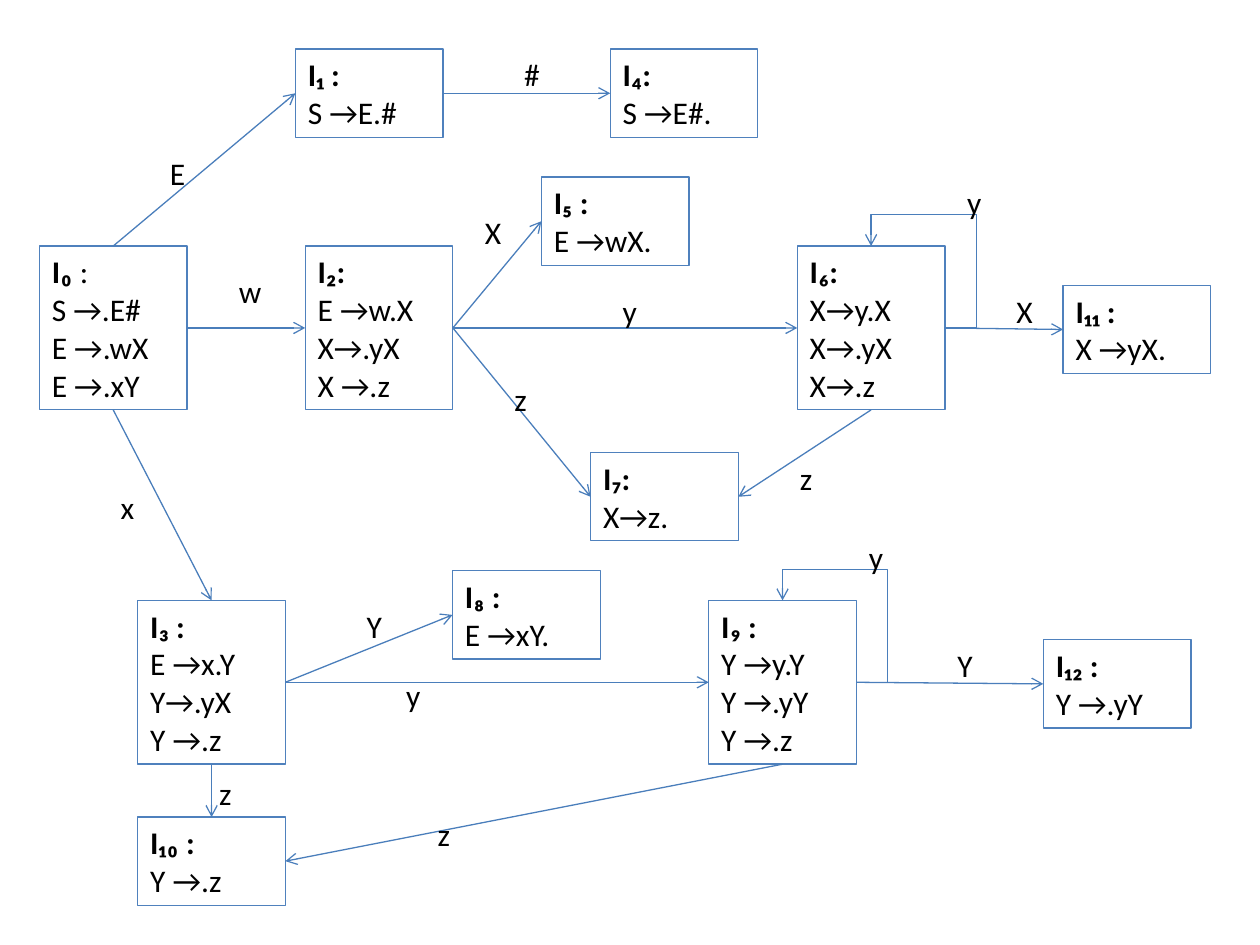
import pptx
import pptx.dml.color
import pptx.enum.shapes
import pptx.enum.text
import pptx.oxml.ns
import pptx.util
from lxml import etree

Pt = pptx.util.Pt
BLACK = pptx.dml.color.RGBColor(0x00, 0x00, 0x00)
BOX_BLUE = pptx.dml.color.RGBColor(0x4F, 0x81, 0xBD)
ARROW_BLUE = pptx.dml.color.RGBColor(0x4A, 0x7E, 0xBB)
FONT = "Calibri"
FONT_SIZE = 18
LINE_WIDTH = 0.75
STATE_WIDTH = 84.4
STATE_HEIGHTS = {2: 50.4, 4: 93.6}
LABEL_WIDTH, LABEL_HEIGHT = 22.5, 28.8
TOP, LEFT, BOTTOM, RIGHT = range(4)

STATES = {
    0: (22.5, 140.6, "I₀ ", ":", ["S →.E#", "E →.wX", "E →.xY"]),
    8: (258.6, 326.2, "I₈ :", "", ["E →xY."]),
    1: (168.8, 28.1, "I₁ :", "", ["S →E.#"]),
    3: (78.7, 343.1, "I₃ :", "", ["E →x.Y", "Y→.yX", "Y →.z"]),
    10: (78.7, 466.9, "I₁₀ :", "", ["Y →.z"]),
    9: (405, 343.1, "I₉ :", "", ["Y →y.Y", "Y →.yY", "Y →.z"]),
    11: (607.5, 163.1, "I₁₁ :", "", ["X →yX."]),
    12: (596.2, 365.6, "I₁₂ :", "", ["Y →.yY"]),
    4: (348.7, 28.1, "I₄:", "", ["S →E#."]),
    7: (337.5, 258.7, "I₇:", "", ["X→z."]),
    2: (174.4, 140.6, "I₂:", "", ["E →w.X", "X→.yX", "X →.z"]),
    6: (455.6, 140.6, "I₆:", "", ["X→y.X", "X→.yX", "X→.z"]),
    5: (309.4, 101.2, "I₅ :", "", ["E →wX."]),
}

TRANSITIONS = [
    (0, TOP, 1, LEFT, "E", 90, 84.4),
    (1, RIGHT, 4, LEFT, "#", 292.5, 28.1),
    (0, RIGHT, 2, LEFT, "w", 129.4, 151.9),
    (2, RIGHT, 5, LEFT, "X", 270, 118.1),
    (2, RIGHT, 6, LEFT, "y", 348.7, 163.1),
    (6, RIGHT, 11, LEFT, "X", 573.7, 163.1),
    (2, RIGHT, 7, LEFT, "z", 286.9, 213.7),
    (6, BOTTOM, 7, RIGHT, "z", 450, 258.7),
    (0, BOTTOM, 3, TOP, "x", 61.9, 275.6),
    (3, RIGHT, 8, LEFT, "Y", 202.5, 343.1),
    (3, BOTTOM, 10, TOP, "z", 118.1, 438.7),
    (3, RIGHT, 9, LEFT, "y", 225, 382.5),
    (9, BOTTOM, 10, RIGHT, "z", 243, 462.4),
    (9, RIGHT, 12, LEFT, "Y", 540, 365.6),
    (9, RIGHT, 9, TOP, "y", 489.4, 303.7),
    (6, RIGHT, 6, TOP, "y", 545.6, 101.2),
]


def format_paragraph(paragraph, bold=False):
    paragraph.alignment = pptx.enum.text.PP_ALIGN.LEFT
    paragraph.font.name = FONT
    paragraph.font.size = Pt(FONT_SIZE)
    paragraph.font.bold = bold
    paragraph.font.color.rgb = BLACK


def add_state(slide, left, top, heading, plain_suffix, items):
    box = slide.shapes.add_shape(
        pptx.enum.shapes.MSO_SHAPE.RECTANGLE,
        Pt(left), Pt(top), Pt(STATE_WIDTH), Pt(STATE_HEIGHTS[len(items) + 1]))
    box.shadow.inherit = False
    box.fill.background()
    box.line.color.rgb = BOX_BLUE
    box.line.width = Pt(LINE_WIDTH)
    frame = box.text_frame
    frame.word_wrap = True
    frame.vertical_anchor = pptx.enum.text.MSO_ANCHOR.TOP
    title = frame.paragraphs[0]
    format_paragraph(title, bold=True)
    title.add_run().text = heading
    if plain_suffix:
        suffix = title.add_run()
        suffix.text = plain_suffix
        suffix.font.bold = False
    for item in items:
        production = frame.add_paragraph()
        production.text = item
        format_paragraph(production)
    return box


def add_arrow(slide, source, source_side, target, target_side):
    kinds = pptx.enum.shapes.MSO_CONNECTOR
    is_loop = source is target
    arrow = slide.shapes.add_connector(
        kinds.ELBOW if is_loop else kinds.STRAIGHT, 0, 0, 0, 0)
    arrow.begin_connect(source, source_side)
    arrow.end_connect(target, target_side)
    arrow.line.color.rgb = ARROW_BLUE
    arrow.line.width = Pt(LINE_WIDTH)
    qn = pptx.oxml.ns.qn
    properties = arrow._element.spPr
    etree.SubElement(properties.find(qn("a:ln")), qn("a:tailEnd"), type="arrow")
    etree.SubElement(properties, qn("a:effectLst"))
    if is_loop:
        bend_loop(properties.find(qn("a:prstGeom")))


def bend_loop(geometry):
    qn = pptx.oxml.ns.qn
    geometry.set("prst", "bentConnector4")
    guides = geometry.find(qn("a:avLst"))
    if guides is None:
        guides = etree.SubElement(geometry, qn("a:avLst"))
    for name, value in (("adj1", -42600), ("adj2", 138100)):
        etree.SubElement(guides, qn("a:gd"), name=name, fmla=f"val {value}")


def add_label(slide, symbol, left, top):
    label = slide.shapes.add_textbox(
        Pt(left), Pt(top), Pt(LABEL_WIDTH), Pt(LABEL_HEIGHT))
    label.text_frame.word_wrap = True
    label.text_frame.text = symbol
    format_paragraph(label.text_frame.paragraphs[0])


def main():
    deck = pptx.Presentation()
    deck.slide_width, deck.slide_height = Pt(720), Pt(540)
    slide = deck.slides.add_slide(deck.slide_layouts[6])
    states = {number: add_state(slide, *state) for number, state in STATES.items()}
    for source, source_side, target, target_side, *_ in TRANSITIONS:
        add_arrow(slide, states[source], source_side, states[target], target_side)
    for *_, symbol, left, top in TRANSITIONS:
        add_label(slide, symbol, left, top)
    deck.save("out.pptx")


if __name__ == "__main__":
    main()
